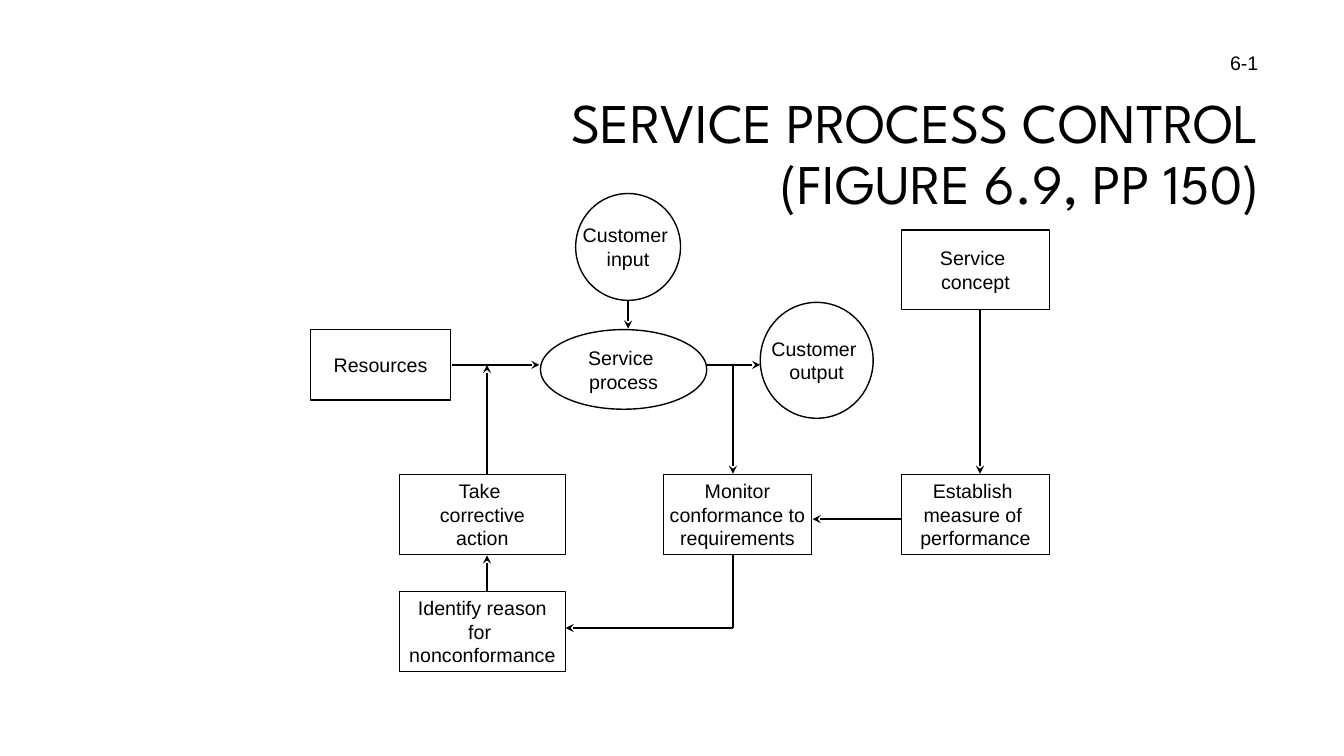
from lxml import etree
from pptx import Presentation
from pptx.dml.color import RGBColor
from pptx.enum.shapes import MSO_CONNECTOR, MSO_SHAPE
from pptx.enum.text import MSO_ANCHOR, PP_ALIGN
from pptx.oxml.ns import qn
from pptx.util import Inches, Pt

BLACK = RGBColor(0, 0, 0)
RECT, OVAL = MSO_SHAPE.RECTANGLE, MSO_SHAPE.OVAL
STRAIGHT = MSO_CONNECTOR.STRAIGHT
MIDDLE = MSO_ANCHOR.MIDDLE
CENTER, RIGHT = PP_ALIGN.CENTER, PP_ALIGN.RIGHT

BODY = {"name": "Arial", "size": Pt(14)}
TITLE = {"name": "League Spartan", "size": Pt(40)}

# Shared grid: rows, columns and box sizes
BOX_H = 0.79
WIDE, NARROW = 1.65, 1.47
TOP_Y, ACTION_Y, REASON_Y = 3.27, 4.71, 5.87
LEFT_X, MONITOR_X, CONCEPT_X = 3.96, 6.58, 8.94
FLOW_Y, RETURN_Y = 3.62, 6.23
LEFT_AXIS, INPUT_AXIS, MONITOR_AXIS, CONCEPT_AXIS = 4.83, 6.23, 7.27, 9.72

NODES = [
    (RECT, 3.08, TOP_Y, 1.39, 0.7, ["Resources"]),
    (RECT, LEFT_X, REASON_Y, WIDE, BOX_H,
     ["Identify reason", "for ", "nonconformance"]),
    (RECT, CONCEPT_X, ACTION_Y, NARROW, BOX_H,
     ["Establish ", "measure of ", "performance"]),
    (RECT, MONITOR_X, ACTION_Y, NARROW, BOX_H,
     ["Monitor", "conformance to", "requirements"]),
    (RECT, LEFT_X, ACTION_Y, WIDE, BOX_H, ["Take ", "corrective", "action"]),
    (RECT, CONCEPT_X, 2.28, NARROW, BOX_H, ["Service ", "concept"]),
    (OVAL, 5.71, 1.92, 1.04, 1.06, ["Customer ", "input"]),
    (OVAL, 7.54, 3, 1.12, 1.15, ["Customer ", "output"]),
    (OVAL, 5.36, TOP_Y, WIDE, BOX_H, ["Service ", "process"]),
]

ARROWS = [
    (4.48, FLOW_Y, 5.35, FLOW_Y),
    (7.01, FLOW_Y, 7.54, FLOW_Y),
    (INPUT_AXIS, 2.99, INPUT_AXIS, 3.26),
    (LEFT_AXIS, 4.7, LEFT_AXIS, FLOW_Y),
    (MONITOR_AXIS, FLOW_Y, MONITOR_AXIS, 4.7),
    (LEFT_AXIS, REASON_Y, LEFT_AXIS, 5.51),
    (CONCEPT_AXIS, 3.08, CONCEPT_AXIS, 4.7),
    (MONITOR_AXIS, RETURN_Y, 5.61, RETURN_Y),
    (CONCEPT_X, 5.15, 8.06, 5.15),
]


def write_text(tf, lines, font, align, wrap, spacing=None):
    """Fill a text frame with one paragraph per line."""
    tf.word_wrap = wrap
    tf.vertical_anchor = MIDDLE
    for i, line in enumerate(lines):
        p = tf.add_paragraph() if i else tf.paragraphs[0]
        p.text = line
        p.alignment = align
        p.line_spacing = spacing
        for r in p.runs:
            r.font.color.rgb = BLACK
            for key, value in font.items():
                setattr(r.font, key, value)


def add_label(s, box, text, font, spacing=None):
    """Add a right-aligned text box."""
    tf = s.shapes.add_textbox(*map(Inches, box)).text_frame
    write_text(tf, [text], font, RIGHT, True, spacing)


def style_line(line):
    """Give an outline or connector the thin black stroke."""
    line.color.rgb = BLACK
    line.width = Pt(1)


def add_node(s, kind, x, y, w, h, lines):
    """Add an unfilled outlined shape with centred text."""
    sp = s.shapes.add_shape(kind, *map(Inches, (x, y, w, h)))
    sp.shadow.inherit = False
    sp.fill.background()
    style_line(sp.line)
    write_text(sp.text_frame, lines, BODY, CENTER, False)


def add_link(s, ends, arrow=True):
    """Add a straight connector, with a stealth arrowhead at its end."""
    cx = s.shapes.add_connector(STRAIGHT, *map(Inches, ends))
    style_line(cx.line)
    if arrow:
        etree.SubElement(cx.line._get_or_add_ln(), qn("a:tailEnd"), type="stealth")
    etree.SubElement(cx._element.spPr, qn("a:effectLst"))


def main():
    """Build the service process control slide."""
    prs = Presentation()
    prs.slide_width, prs.slide_height = Inches(13.33), Inches(7.5)
    s = prs.slides.add_slide(prs.slide_layouts[6])
    add_label(s, (3.17, 0.84, 9.42, 1.41),
              "SERVICE PROCESS CONTROL\v(FIGURE 6.9, PP 150)", TITLE, 0.9)
    add_label(s, (9.58, 0.42, 3, 0.4), "6-1", BODY)
    for node in NODES:
        add_node(s, *node)
    for ends in ARROWS:
        add_link(s, ends)
    add_link(s, (MONITOR_AXIS, 5.51, MONITOR_AXIS, RETURN_Y), arrow=False)
    prs.save("out.pptx")


main()
